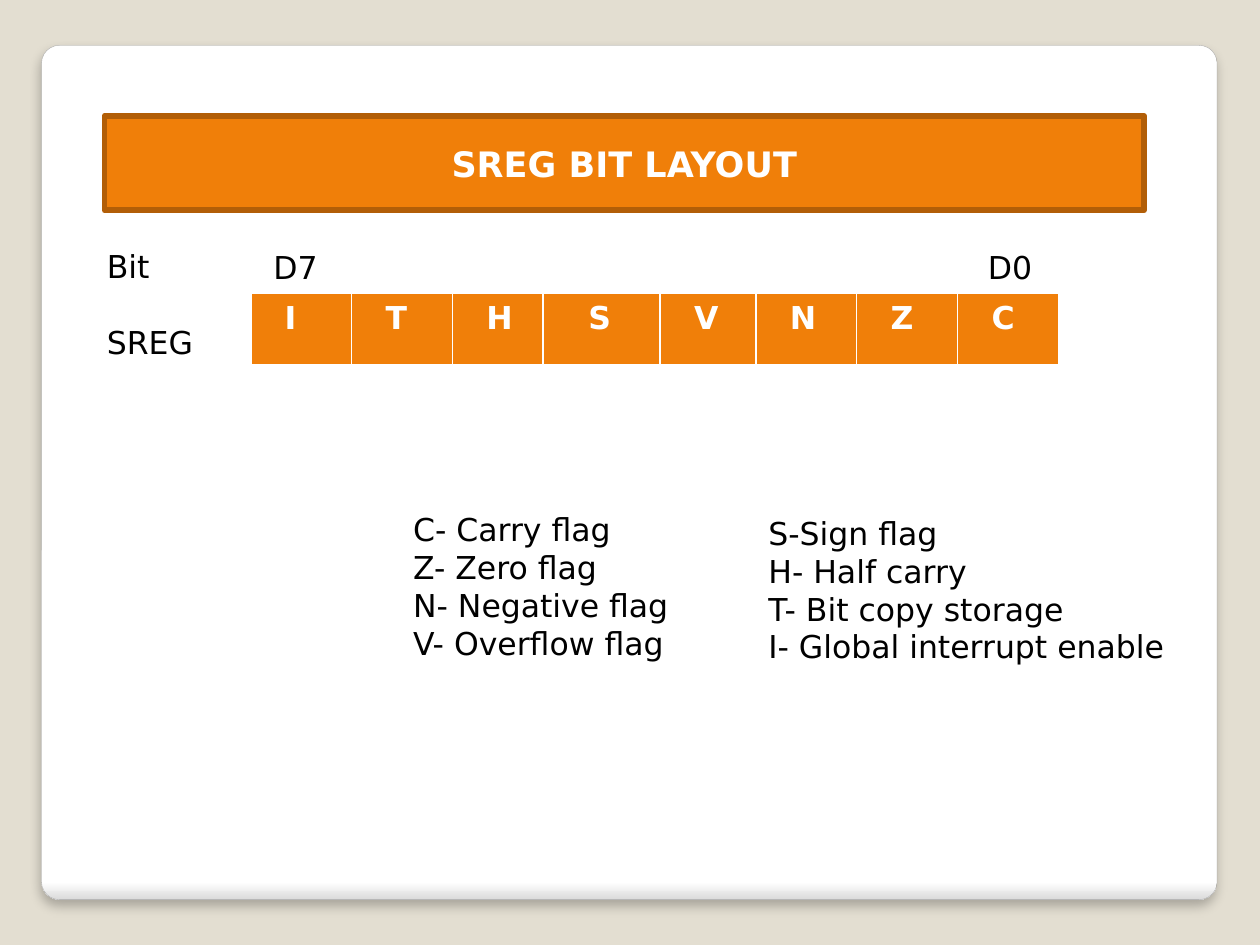
from lxml import etree
from pptx import Presentation
from pptx.dml.color import RGBColor
from pptx.enum.shapes import MSO_SHAPE
from pptx.enum.text import MSO_ANCHOR, MSO_AUTO_SIZE, PP_ALIGN
from pptx.oxml import parse_xml
from pptx.oxml.ns import nsdecls, qn
from pptx.util import Inches, Pt

ROUND = MSO_SHAPE.ROUNDED_RECTANGLE
MIDDLE, CENTER = MSO_ANCHOR.MIDDLE, PP_ALIGN.CENTER
GROW, FIXED = MSO_AUTO_SIZE.SHAPE_TO_FIT_TEXT, MSO_AUTO_SIZE.NONE
BEIGE = RGBColor(0xE3, 0xDE, 0xD1)
ORANGE = RGBColor(0xF0, 0x7F, 0x09)
BROWN = RGBColor(0xB2, 0x5E, 0x07)
WHITE = RGBColor(0xFF, 0xFF, 0xFF)
SILVER = RGBColor(0xDA, 0xDA, 0xDA)
GRAY = RGBColor(0xA4, 0xA4, 0xA4)
BLACK = RGBColor(0, 0, 0)

BODY = {"name": "DejaVu Sans", "size": Pt(18), "bold": False}
PLAIN = BODY | {"color": BLACK}
HEAD = BODY | {"bold": True, "color": WHITE}
TITLE = HEAD | {"size": Pt(20)}


def write(frame, lines, style, gap=0):
    """Fill a text frame, one paragraph a line, with gap points between."""
    frame.text = "\n".join(lines)
    for i, para in enumerate(frame.paragraphs):
        para.space_before = Pt(gap if i else 0)
        font = para.runs[0].font
        for key, value in style.items():
            if key == "color":
                font.color.rgb = value
            else:
                setattr(font, key, value)


prs = Presentation()
prs.slide_width, prs.slide_height = Inches(10), Inches(7.5)
slide = prs.slides.add_slide(prs.slide_layouts[5])
slide.background.fill.solid()
slide.background.fill.fore_color.rgb = BEIGE
shapes = slide.shapes

# White panel behind everything
panel = shapes.add_shape(ROUND, Inches(0.33), Inches(0.36), Inches(9.33), Inches(6.78))
panel.adjustments[0] = 0.021
panel.fill.gradient()
panel.fill.gradient_angle = 270
for stop, place, color in zip(panel.fill.gradient_stops, (0.98, 1), (WHITE, SILVER)):
    stop.position = place
    stop.color.rgb = color
panel.line.color.rgb = GRAY
panel.line.width = Pt(0.16)
panel._element.spPr.append(parse_xml(
    f'<a:effectLst {nsdecls("a")}><a:outerShdw blurRad="{Pt(6)}" dist="{Pt(4)}" '
    'dir="5400000" rotWithShape="0"><a:srgbClr val="000000"><a:alpha val="25000"/>'
    '</a:srgbClr></a:outerShdw></a:effectLst>'))
shapes._spTree.insert(2, panel._element)

# Title banner
title = shapes.title
title.left, title.top = Inches(0.83), Inches(0.92)
title.width, title.height = Inches(8.25), Inches(0.75)
geom = etree.SubElement(title._element.spPr, qn("a:prstGeom"), prst="roundRect")
etree.SubElement(geom, qn("a:avLst"))
title.fill.solid()
title.fill.fore_color.rgb = ORANGE
title.line.color.rgb = BROWN
title.line.width = Pt(3.35)
write(title.text_frame, ["SREG BIT LAYOUT"], TITLE)
title.text_frame.auto_size = FIXED
title.text_frame.vertical_anchor = MIDDLE
title.text_frame.paragraphs[0].alignment = CENTER

# Register bits: letter, column width, left margin
BITS = [("I", 0.8, 0.27), ("T", 0.8, 0.27), ("H", 0.72, 0.27), ("S", 0.93, 0.36),
        ("V", 0.76, 0.27), ("N", 0.8, 0.27), ("Z", 0.8, 0.27), ("C", 0.8, 0.27)]
EDGES = {"lnL": 1, "lnR": 1, "lnT": 1, "lnB": 3}
table = shapes.add_table(1, len(BITS), Inches(1.99), Inches(2.33),
                         Inches(6.43), Inches(0.58)).table
for col, (bit, width, margin) in enumerate(BITS):
    table.columns[col].width = Inches(width)
    cell = table.cell(0, col)
    write(cell.text_frame, [bit], HEAD)
    cell.margin_left = Inches(margin)
    props = cell._tc.get_or_add_tcPr()
    for edge, points in EDGES.items():
        line = etree.SubElement(props, qn(f"a:{edge}"), w=str(Pt(points)))
        solid = etree.SubElement(line, qn("a:solidFill"))
        etree.SubElement(solid, qn("a:srgbClr"), val=str(WHITE))
    cell.fill.solid()
    cell.fill.fore_color.rgb = ORANGE

# Labels and flag lists: place, left margin, wrap, paragraph gap, lines
NOTES = [
    ((1.83, 1.92, 1.34, 0.4), 0.34, True, 0, ["D7"]),
    ((7.5, 1.92, 0.92, 0.4), 0.34, True, 0, ["D0"]),
    ((0.75, 1.91, 1.24, 1.01), 0.1, True, 21.7, ["Bit", "SREG"]),
    ((3.18, 4, 2.66, 1.31), 0.1, True, 0,
     ["C- Carry flag", "Z- Zero flag", "N- Negative flag", "V- Overflow flag"]),
    ((6, 4.03, 3.44, 1.31), 0.1, False, 0,
     ["S-Sign flag", "H- Half carry", "T- Bit copy storage",
      "I- Global interrupt enable"]),
]
for place, margin, wrap, gap, lines in NOTES:
    frame = shapes.add_textbox(*map(Inches, place)).text_frame
    frame.word_wrap = wrap
    frame.auto_size = GROW
    frame.margin_left = Inches(margin)
    write(frame, lines, PLAIN, gap)

prs.save("out.pptx")
